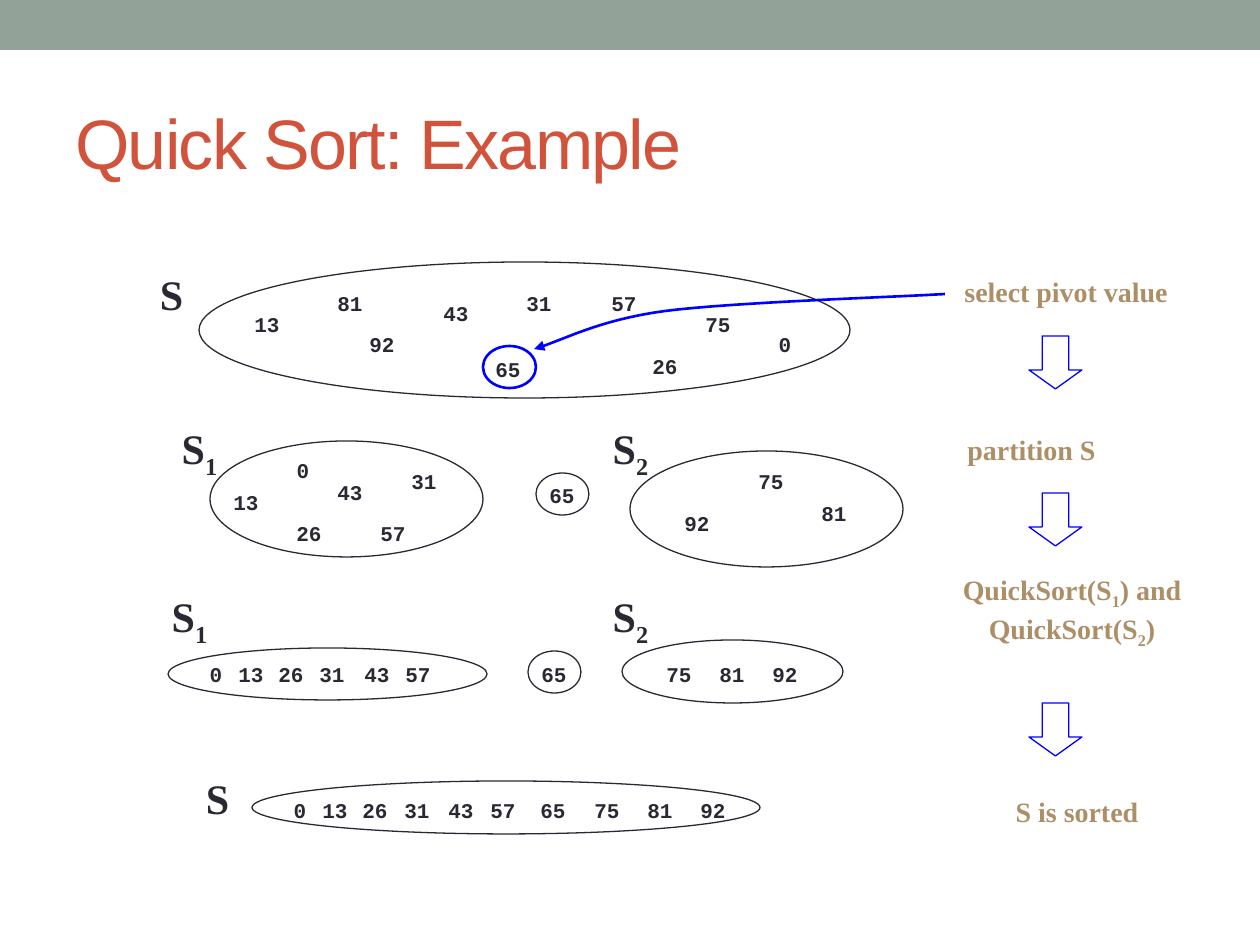
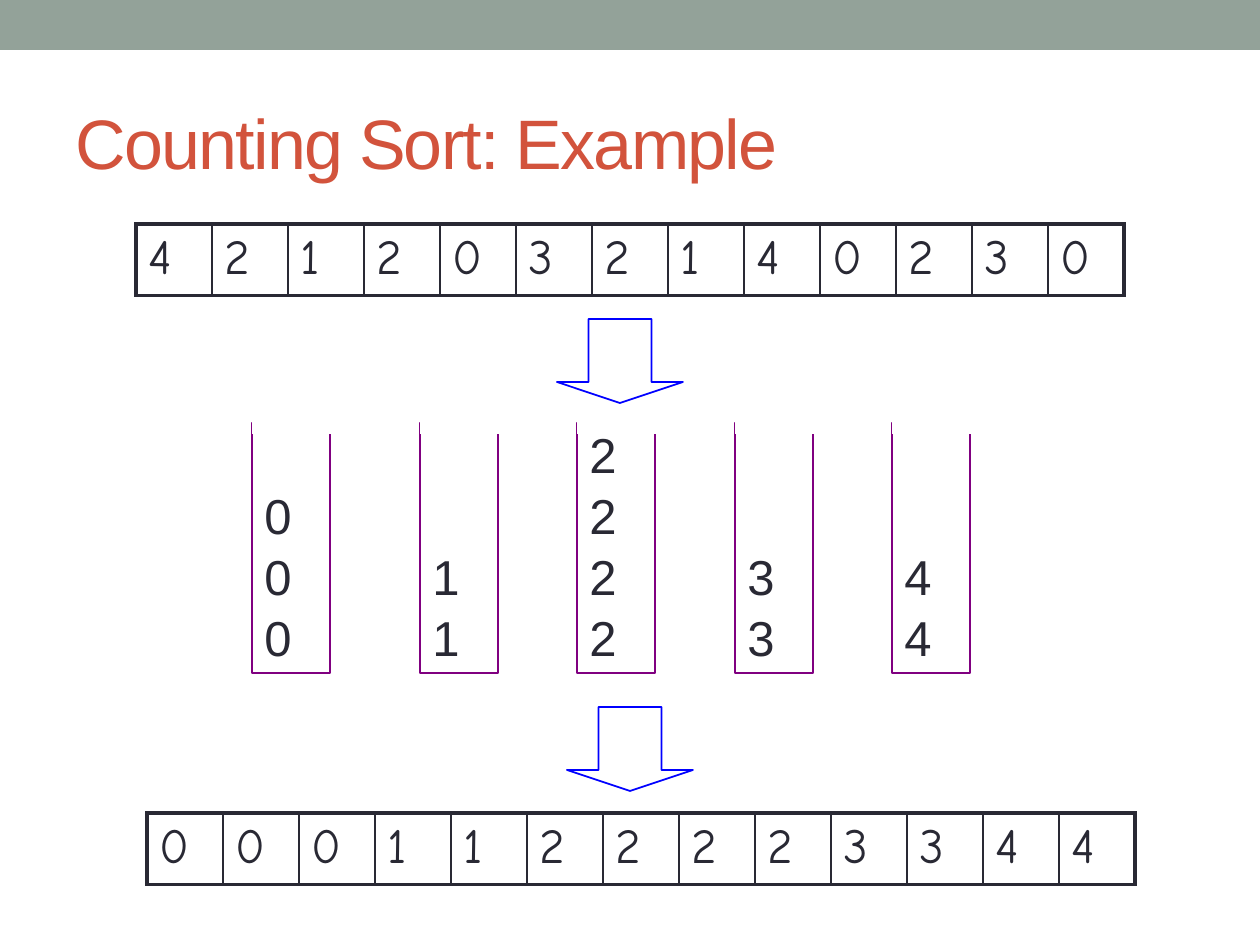
from dataclasses import dataclass

from lxml.etree import SubElement
from pptx import Presentation
from pptx.dml.color import RGBColor
from pptx.enum.shapes import MSO_SHAPE
from pptx.enum.text import MSO_ANCHOR, PP_ALIGN
from pptx.oxml.ns import qn
from pptx.util import Emu, Pt


@dataclass(frozen=True)
class TextStyle:
    font: str
    size: int
    color: str
    bold: bool = False


@dataclass(frozen=True)
class Theme:
    band: str = "93A299"
    paper: str = "FFFFFF"
    ink: str = "292934"
    accent: str = "0000FF"
    bucket: str = "800080"
    title: TextStyle = TextStyle("Arial", 40, "D2533C")
    number: TextStyle = TextStyle("Courier New", 12, "292934", True)
    set_name: TextStyle = TextStyle("Times New Roman", 24, "292934", True)
    step: TextStyle = TextStyle("Times New Roman", 16, "AD8F67", True)
    cell: TextStyle = TextStyle("Comic Neue", 28, "292934")
    bucket_text: TextStyle = TextStyle("Arial", 28, "292934")


THEME = Theme()
EMU_PER_PX = 914400 / 126
SLIDE_SIZE = (1260, 945)
BAND_BOX = (0, 0, 1260, 50)
TITLE_BOX = (63, 73, 1134, 136)

QUICK_TITLE = "Quick Sort: Example"
SET_OUTLINES = [
    (199, 262, 651, 136),
    (210, 441, 273, 116), (536, 473, 53, 42), (630, 451, 273, 116),
    (168, 648, 319, 52), (528, 651, 53, 42), (622, 640, 221, 63),
    (252, 781, 508, 53),
]
PIVOT_RING = (483, 346, 53, 42)
SCATTERED = [
    ("13", 242, 305), ("81", 325, 284), ("92", 357, 325), ("43", 431, 294),
    ("65", 483, 350), ("31", 514, 284), ("57", 599, 284), ("26", 640, 347),
    ("75", 693, 305), ("0", 766, 325),
    ("13", 221, 483), ("81", 809, 494), ("92", 672, 504), ("43", 325, 473),
    ("65", 537, 476), ("31", 399, 462), ("57", 368, 514), ("26", 284, 514),
    ("75", 746, 462), ("0", 284, 451),
]
SORTED_NUMBERS = ["0", "13", "26", "31", "43", "57", "65", "75", "81", "92"]
SORTED_ROWS = [
    (655, [197, 226, 266, 307, 352, 393, 529, 654, 707, 760]),
    (791, [281, 310, 350, 392, 436, 478, 528, 582, 635, 688]),
]
DIGIT_WIDTHS = {1: 38, 2: 50}
NUMBER_HEIGHT = 38
SET_NAMES = [
    (("S",), (147, 262, 49, 63)),
    (("S", "1"), (168, 420, 63, 63)),
    (("S", "2"), (599, 420, 63, 63)),
    (("S", "1"), (158, 588, 63, 63)),
    (("S", "2"), (599, 588, 63, 63)),
    (("S",), (193, 766, 49, 63)),
]
STEPS = [
    ([("select pivot value",)], (950, 268, 232, 46)),
    ([("partition S",)], (954, 426, 155, 46)),
    ([("QuickSort(S", "1", ") and"), ("QuickSort(S", "2", ")")], (948, 571, 248, 80)),
    ([("S is sorted",)], (1002, 788, 150, 46)),
]
STEP_ARROW_TOPS = [336, 493, 703]
PIVOT_CURVE = [
    ((945, 294), (898, 297), (735, 302), (665, 311)),
    ((665, 311), (597, 320), (562, 341), (534, 349)),
]
CURVE_STEPS = 16

COUNTING_TITLE = "Counting Sort: Example"
UNSORTED = (136, 224, "4212032140230")
SORTED = (147, 813, "0001122223344")
CELL_WIDTH, CELL_HEIGHT = 76, 70
BUCKETS = [(252, "000"), (420, "11"), (577, "2222"), (735, "33"), (892, "44")]
BUCKET_TOP, BUCKET_WIDTH, BUCKET_HEIGHT = 423, 78, 250
LID_TOP, LID_WIDTH, LID_HEIGHT = 392, 84, 42
PHASE_ARROWS = [(557, 319, 126, 84), (567, 707, 126, 84)]


def px(length):
    return Emu(round(length * EMU_PER_PX))


def rgb(value):
    return RGBColor.from_string(value)


def write(frame, paragraphs, style, align=PP_ALIGN.CENTER, anchor=MSO_ANCHOR.MIDDLE, wrap=False):
    frame.word_wrap = wrap
    frame.vertical_anchor = anchor
    for index, pieces in enumerate(paragraphs):
        paragraph = frame.paragraphs[0] if index == 0 else frame.add_paragraph()
        paragraph.alignment = align
        for position, piece in enumerate(pieces):
            run = paragraph.add_run()
            run.text = piece
            if position % 2:
                run._r.get_or_add_rPr().set("baseline", "-25000")
        font = paragraph.font
        font.name, font.size, font.bold = style.font, Pt(style.size), style.bold
        font.color.rgb = rgb(style.color)


def add_text(slide, box, paragraphs, style, **layout):
    frame = slide.shapes.add_textbox(*map(px, box)).text_frame
    write(frame, paragraphs, style, **layout)
    return frame


def paint(shape, fill=None, line=None, weight=0.75):
    shape.shadow.inherit = False
    if fill:
        shape.fill.solid()
        shape.fill.fore_color.rgb = rgb(fill)
    else:
        shape.fill.background()
    if line:
        shape.line.color.rgb = rgb(line)
        shape.line.width = Pt(weight)
    else:
        shape.line.fill.background()
    return shape


def add_preset(slide, preset, box, **look):
    return paint(slide.shapes.add_shape(preset, *map(px, box)), **look)


def add_down_arrow(slide, box, head, weight):
    arrow = add_preset(slide, MSO_SHAPE.DOWN_ARROW, box, line=THEME.accent, weight=weight)
    arrow.adjustments[0], arrow.adjustments[1] = 0.5, head


def add_base_slide(deck, title):
    slide = deck.slides.add_slide(deck.slide_layouts[6])
    add_preset(slide, MSO_SHAPE.RECTANGLE, BAND_BOX, fill=THEME.band)
    frame = add_text(slide, TITLE_BOX, [(title,)], THEME.title, align=PP_ALIGN.LEFT, wrap=True)
    frame.paragraphs[0].runs[0]._r.get_or_add_rPr().set("spc", "-100")
    return slide


def bezier_point(curve, t):
    weights = ((1 - t) ** 3, 3 * t * (1 - t) ** 2, 3 * t * t * (1 - t), t ** 3)
    return tuple(px(sum(w * point[axis] for w, point in zip(weights, curve))) for axis in (0, 1))


def add_pivot_curve(slide):
    start = tuple(map(px, PIVOT_CURVE[0][0]))
    points = [
        bezier_point(curve, step / CURVE_STEPS)
        for curve in PIVOT_CURVE
        for step in range(1, CURVE_STEPS + 1)
    ]
    builder = slide.shapes.build_freeform(*start)
    builder.add_line_segments(points, close=False)
    pointer = paint(builder.convert_to_shape(), line=THEME.accent, weight=1.5)
    SubElement(pointer.line._get_or_add_ln(), qn("a:tailEnd"), type="triangle")


def add_number(slide, number, left, top):
    box = (left, top, DIGIT_WIDTHS[len(number)], NUMBER_HEIGHT)
    add_text(slide, box, [(number,)], THEME.number)


def add_quick_sort(deck):
    slide = add_base_slide(deck, QUICK_TITLE)
    for box in SET_OUTLINES:
        add_preset(slide, MSO_SHAPE.OVAL, box, fill=THEME.paper, line=THEME.ink)
    for number, left, top in SCATTERED:
        add_number(slide, number, left, top)
    for top, lefts in SORTED_ROWS:
        for number, left in zip(SORTED_NUMBERS, lefts):
            add_number(slide, number, left, top)
    add_preset(slide, MSO_SHAPE.OVAL, PIVOT_RING, line=THEME.accent, weight=1.5)
    for name, box in SET_NAMES:
        add_text(slide, box, [name], THEME.set_name)
    for step, box in STEPS:
        add_text(slide, box, step, THEME.step)
    add_pivot_curve(slide)
    for top in STEP_ARROW_TOPS:
        add_down_arrow(slide, (1029, top, 53, 53), 0.358, 0.75)


def set_borders(cell, weights):
    properties = cell._tc.get_or_add_tcPr()
    for side, weight in weights.items():
        border = SubElement(properties, qn(f"a:ln{side}"), w=str(Pt(weight)))
        fill = SubElement(border, qn("a:solidFill"))
        SubElement(fill, qn("a:srgbClr"), val=THEME.ink)


def add_array(slide, left, top, digits):
    count = len(digits)
    box = (left, top, count * CELL_WIDTH, CELL_HEIGHT)
    table = slide.shapes.add_table(1, count, *map(px, box)).table
    table.first_row = table.horz_banding = False
    for index, digit in enumerate(digits):
        table.columns[index].width = px(CELL_WIDTH)
        cell = table.cell(0, index)
        set_borders(cell, {
            "L": 2.25 if index == 0 else 1,
            "R": 2.25 if index == count - 1 else 1,
            "T": 2.25,
            "B": 2.25,
        })
        cell.fill.background()
        write(cell.text_frame, [(digit,)], THEME.cell, PP_ALIGN.LEFT, MSO_ANCHOR.TOP, True)


def add_bucket(slide, left, digits):
    box = (left, BUCKET_TOP, BUCKET_WIDTH, BUCKET_HEIGHT)
    bucket = add_preset(slide, MSO_SHAPE.RECTANGLE, box, line=THEME.bucket, weight=1)
    write(bucket.text_frame, digits, THEME.bucket_text, PP_ALIGN.LEFT, MSO_ANCHOR.BOTTOM, True)
    for paragraph in bucket.text_frame.paragraphs:
        paragraph.line_spacing = 1.04
    lid = (left, LID_TOP, LID_WIDTH, LID_HEIGHT)
    add_preset(slide, MSO_SHAPE.RECTANGLE, lid, fill=THEME.paper)


def add_counting_sort(deck):
    slide = add_base_slide(deck, COUNTING_TITLE)
    add_array(slide, *UNSORTED)
    for left, digits in BUCKETS:
        add_bucket(slide, left, digits)
    add_array(slide, *SORTED)
    for box in PHASE_ARROWS:
        add_down_arrow(slide, box, 0.25, 1)


def main():
    deck = Presentation()
    deck.slide_width, deck.slide_height = map(px, SLIDE_SIZE)
    add_quick_sort(deck)
    add_counting_sort(deck)
    deck.save("out.pptx")


if __name__ == "__main__":
    main()
